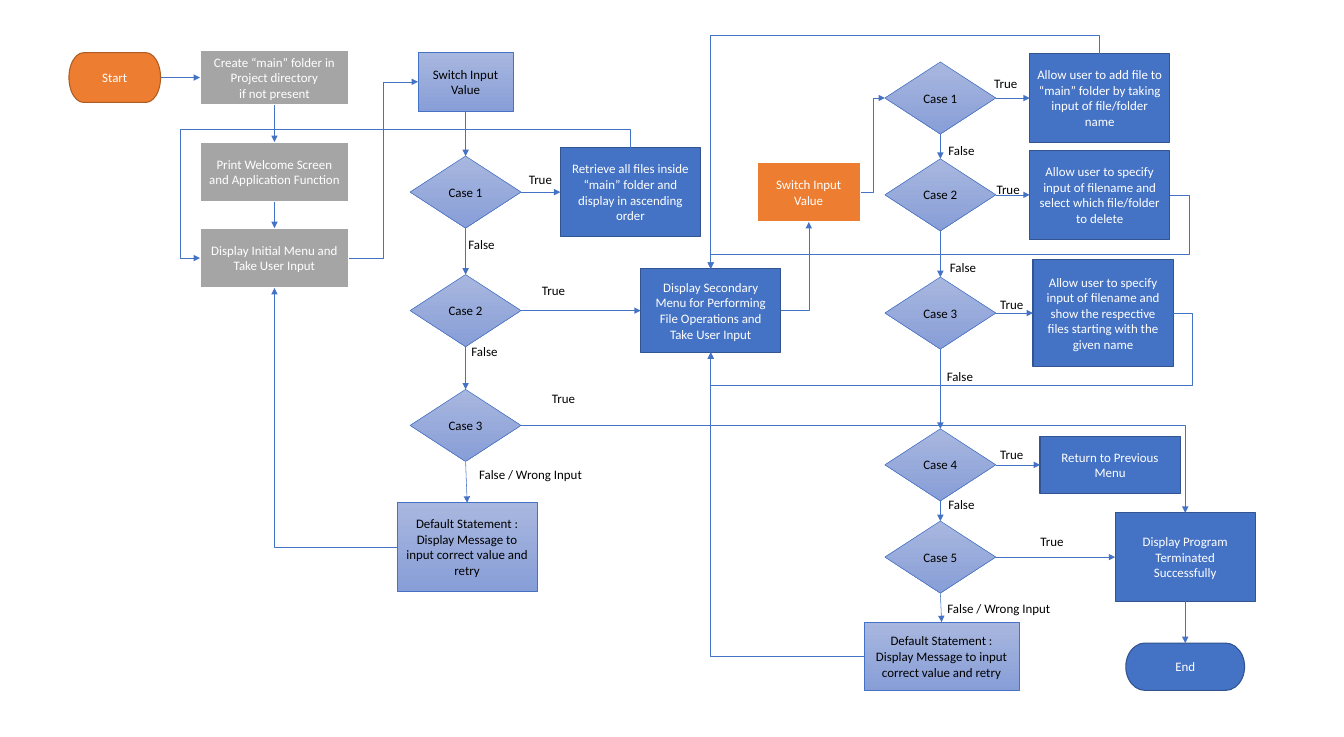
from pptx import Presentation
from pptx.dml.color import RGBColor
from pptx.enum.shapes import MSO_CONNECTOR, MSO_SHAPE
from pptx.enum.text import MSO_ANCHOR, MSO_AUTO_SIZE, PP_ALIGN
from pptx.oxml.ns import qn
from pptx.oxml.xmlchemy import OxmlElement
from pptx.util import Cm, Pt

COLORS = {
    "blue": "4472C4", "navy": "325491", "gray": "A5A5A5",
    "orange": "ED7D31", "brown": "AF5C24", "white": "FFFFFF",
    "black": "000000", "pale": "A8B7DF", "periwinkle": "889ED7",
}
# style: (fill colours, line colour, line width, text colour)
STYLES = {
    "setup": (["gray"], "white", 1.5, "white"),
    "switch": (["orange"], "white", 1.5, "white"),
    "start": (["orange"], "brown", 1, "white"),
    "action": (["blue"], "navy", 1, "white"),
    "check": (["pale", "periwinkle"], "blue", 0.5, "black"),
}
RECT = MSO_SHAPE.RECTANGLE
PROCESS = MSO_SHAPE.FLOWCHART_PROCESS
DECISION = MSO_SHAPE.FLOWCHART_DECISION
TERMINATOR = MSO_SHAPE.FLOWCHART_TERMINATOR

# Column centres, in cm
MENU_X, MAIN_X, SECOND_X, FILE_X, ACTION_X, END_X = 8.99, 15.25, 23.28, 30.8, 36.02, 38.82
ACTION_SIZE = (4.59, 2.9)
CASE_SIZE = (3.63, 2.36)
RETRY = "Default Statement : Display Message to input correct value and retry"

# name: (text, shape, style, centre, size)
BOXES = {
    "start": ("Start", TERMINATOR, "start", (3.76, 2.54), (3, 1.63)),
    "create": ("Create “main” folder in Project directory\nif not present", RECT, "setup",
               (MENU_X, 2.54), (4.88, 1.78)),
    "welcome": ("Print Welcome Screen and Application Function", RECT, "setup",
                (MENU_X, 5.63), (4.88, 1.96)),
    "menu": ("Display Initial Menu and Take User Input", RECT, "setup",
             (MENU_X, 8.45), (4.88, 1.96)),
    "main switch": ("Switch Input\nValue", RECT, "check", (MAIN_X, 2.68), (3.12, 1.96)),
    "retrieve": ("Retrieve all files inside “main” folder and display in ascending order",
                 PROCESS, "action", (20.65, 6.29), ACTION_SIZE),
    "main default": (RETRY, PROCESS, "check", (15.3, 17.91), ACTION_SIZE),
    "second menu": ("Display Secondary Menu for Performing File Operations and Take User Input",
                    PROCESS, "action", (SECOND_X, 10.17), (4.59, 2.74)),
    "file switch": ("Switch Input\nValue", RECT, "switch", (26.49, 6.29), (3.4, 1.96)),
    "add": ("Allow user to add file to “main” folder by taking input of file/folder name",
            PROCESS, "action", (ACTION_X, 3.21), ACTION_SIZE),
    "delete": ("Allow user to specify input of filename and select which file/folder to delete",
               PROCESS, "action", (ACTION_X, 6.38), ACTION_SIZE),
    "show": ("Allow user to specify input of filename and show the respective files "
             "starting with the given name", PROCESS, "action", (36.13, 10.25), (4.59, 3.48)),
    "return": ("Return to Previous Menu", PROCESS, "action", (36.36, 15.22), (4.59, 1.88)),
    "terminated": ("Display Program Terminated Successfully", PROCESS, "action",
                   (END_X, 18.24), ACTION_SIZE),
    "end": ("End", TERMINATOR, "action", (END_X, 21.83), (3.89, 1.55)),
    "file default": (RETRY, PROCESS, "check", (30.84, 21.49), (5.08, 2.24)),
}
CASE_ROWS = {
    "main": (MAIN_X, [6.29, 10.17, 13.93]),
    "file": (FILE_X, [3.21, 6.38, 10.25, 15.22, 18.24]),
}
for group, (column, rows) in CASE_ROWS.items():
    for number, row in enumerate(rows, 1):
        BOXES[f"{group} {number}"] = (f"Case {number}", DECISION, "check", (column, row), CASE_SIZE)

# Boxes joined top to bottom, and boxes joined left to right
DOWN_CHAINS = [
    ["create", "welcome", "menu"],
    ["main switch", "main 1", "main 2", "main 3", "main default"],
    ["file 1", "file 2", "file 3", "file 4", "file 5", "file default"],
    ["terminated", "end"],
]
RIGHT_PAIRS = [
    ("start", "create"), ("main 1", "retrieve"), ("main 2", "second menu"), ("file 1", "add"),
    ("file 2", "delete"), ("file 3", "show"), ("file 4", "return"), ("file 5", "terminated"),
]
TOP, LEFT, BOTTOM, RIGHT = range(4)
# (from box, side, to box, side, bend positions in cm)
ELBOWS = [
    ("menu", RIGHT, "main switch", LEFT, [12.55]),
    ("main default", LEFT, "menu", BOTTOM, []),
    ("main 3", RIGHT, "terminated", TOP, []),
    ("file switch", RIGHT, "file 1", LEFT, [28.6]),
    ("file default", LEFT, "second menu", BOTTOM, []),
    ("retrieve", TOP, "menu", LEFT, [4.22, 5.92]),
    ("second menu", RIGHT, "file switch", BOTTOM, []),
    ("show", RIGHT, "second menu", BOTTOM, [39.04, 12.6]),
    ("delete", RIGHT, "second menu", TOP, [38.96, 8.33]),
    ("add", TOP, "second menu", TOP, [1.14]),
]
# text: (width, top left corners)
LABELS = {
    "True": (1.27, [(17.07, 5.49), (17.5, 9.14), (17.83, 12.67), (32.31, 2.36), (32.39, 5.82),
                    (32.51, 9.6), (32.51, 14.5), (33.83, 17.35)]),
    "False": (1.37, [(15.09, 7.62), (15.19, 11.13), (30.81, 4.55), (30.86, 8.38),
                     (30.76, 11.94), (30.81, 16.15)]),
    "False / Wrong Input": (3.91, [(15.44, 15.14), (30.78, 19.53)]),
}


def rgb(name):
    return RGBColor.from_string(COLORS[name])


def write(shape, text, color, alignment):
    shape.text_frame.text = text
    for paragraph in shape.text_frame.paragraphs:
        paragraph.alignment = alignment
        paragraph.font.name = "Calibri"
        paragraph.font.size = Pt(12)
        paragraph.font.color.rgb = rgb(color)


def add_box(slide, text, kind, style, centre, size):
    fills, line_color, line_width, text_color = STYLES[style]
    corner = [Cm(middle - length / 2) for middle, length in zip(centre, size)]
    shape = slide.shapes.add_shape(kind, *corner, *map(Cm, size))
    shape.shadow.inherit = False
    if len(fills) == 1:
        shape.fill.solid()
        shape.fill.fore_color.rgb = rgb(fills[0])
    else:
        shape.fill.gradient()
        shape.fill.gradient_angle = 270
        for stop, color in zip(shape.fill.gradient_stops, fills):
            stop.color.rgb = rgb(color)
    shape.line.color.rgb = rgb(line_color)
    shape.line.width = Pt(line_width)
    shape.text_frame.vertical_anchor = MSO_ANCHOR.MIDDLE
    shape.text_frame.word_wrap = True
    write(shape, text, text_color, PP_ALIGN.CENTER)
    return shape


def add_arrow(slide, kind, source, source_side, target, target_side):
    connector = slide.shapes.add_connector(kind, 0, 0, 0, 0)
    connector.begin_connect(source, source_side)
    connector.end_connect(target, target_side)
    connector.line.color.rgb = rgb("blue")
    connector.line.width = Pt(0.5)
    properties = connector.element.spPr
    head = OxmlElement("a:tailEnd")
    head.set("type", "triangle")
    properties.find(qn("a:ln")).append(head)
    properties.append(OxmlElement("a:effectLst"))
    return connector


def add_elbow(slide, source, source_side, target, target_side, bends):
    """Arrow with right angles; bends alternate between the axis it leaves along and the other."""
    connector = add_arrow(slide, MSO_CONNECTOR.ELBOW, source, source_side, target, target_side)
    begin = (connector.begin_x, connector.begin_y)
    end = (connector.end_x, connector.end_y)
    axis = 0 if source_side in (LEFT, RIGHT) else 1
    properties = connector.element.spPr
    geometry = properties.find(qn("a:prstGeom"))
    geometry.set("prst", f"bentConnector{len(bends) + 2}")
    guides = geometry.find(qn("a:avLst"))
    for index, bend in enumerate(bends):
        along = (axis + index) % 2
        share = (Cm(bend) - begin[along]) / (end[along] - begin[along])
        guide = OxmlElement("a:gd")
        guide.set("name", f"adj{index + 1}" if len(bends) > 1 else "adj1")
        guide.set("fmla", f"val {round(share * 100000)}")
        guides.append(guide)
    if axis == 1:  # leaving vertically: turn the frame a quarter, sides swapped
        width, height = abs(end[1] - begin[1]), abs(end[0] - begin[0])
        connector.left = (begin[0] + end[0] - width) // 2
        connector.top = (begin[1] + end[1] - height) // 2
        connector.width, connector.height = width, height
        frame = properties.find(qn("a:xfrm"))
        frame.set("rot", str(270 * 60000))
        frame.set("flipH", str(int(end[1] > begin[1])))
        frame.set("flipV", str(int(end[0] < begin[0])))


def add_label(slide, text, width, left, top):
    label = slide.shapes.add_textbox(Cm(left), Cm(top), Cm(width), Cm(0.77))
    label.text_frame.word_wrap = False
    label.text_frame.auto_size = MSO_AUTO_SIZE.SHAPE_TO_FIT_TEXT
    write(label, text, "black", PP_ALIGN.LEFT)


def main():
    presentation = Presentation()
    presentation.slide_width, presentation.slide_height = Cm(44.02), Cm(24.13)
    slide = presentation.slides.add_slide(presentation.slide_layouts[6])
    boxes = {name: add_box(slide, *box) for name, box in BOXES.items()}
    for chain in DOWN_CHAINS:
        for upper, lower in zip(chain, chain[1:]):
            add_arrow(slide, MSO_CONNECTOR.STRAIGHT, boxes[upper], BOTTOM, boxes[lower], TOP)
    for source, target in RIGHT_PAIRS:
        add_arrow(slide, MSO_CONNECTOR.STRAIGHT, boxes[source], RIGHT, boxes[target], LEFT)
    for source, source_side, target, target_side, bends in ELBOWS:
        add_elbow(slide, boxes[source], source_side, boxes[target], target_side, bends)
    for text, (width, corners) in LABELS.items():
        for left, top in corners:
            add_label(slide, text, width, left, top)
    presentation.save("out.pptx")


if __name__ == "__main__":
    main()
